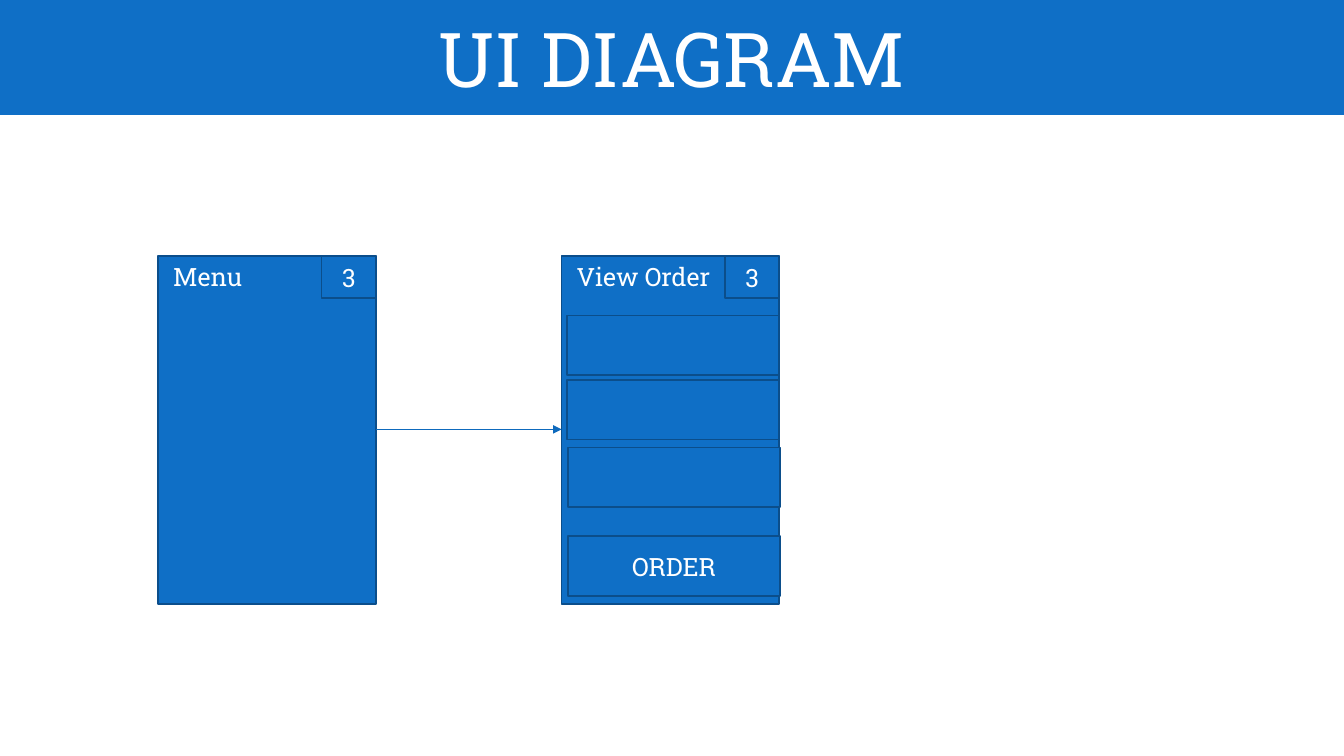
from lxml import etree
from pptx import Presentation
from pptx.dml.color import RGBColor
from pptx.enum import shapes, text
from pptx.oxml import ns
from pptx.util import Inches, Pt


def color(value):
    return RGBColor.from_string(value)


def write(frame, content, size=18, align=text.PP_ALIGN.CENTER,
          anchor=text.MSO_ANCHOR.MIDDLE, font="Roboto Slab", ink="FFFFFF"):
    frame.word_wrap = True
    frame.vertical_anchor = anchor
    paragraph = frame.paragraphs[0]
    paragraph.alignment = align
    run = paragraph.add_run()
    run.text = content
    run.font.size = Pt(size)
    run.font.name = font
    run.font.color.rgb = color(ink)


class Diagram:
    fill = "0F6FC6"
    border = "0B4E8B"
    arrow_color = "0E6ABD"

    def __init__(self, slide):
        self.shapes = slide.shapes

    def box(self, left, top, width, height, content=None, size=18, outlined=True):
        rect = self.shapes.add_shape(
            shapes.MSO_SHAPE.RECTANGLE,
            Inches(left), Inches(top), Inches(width), Inches(height))
        rect.shadow.inherit = False
        rect.fill.solid()
        rect.fill.fore_color.rgb = color(self.fill)
        if outlined:
            rect.line.color.rgb = color(self.border)
            rect.line.width = Pt(1.25)
        else:
            rect.line.fill.background()
        if content:
            write(rect.text_frame, content, size=size)

    def label(self, left, top, width, height, content):
        caption = self.shapes.add_textbox(
            Inches(left), Inches(top), Inches(width), Inches(height))
        write(caption.text_frame, content, align=text.PP_ALIGN.LEFT,
              anchor=text.MSO_ANCHOR.TOP)

    def arrow(self, start, end, y):
        link = self.shapes.add_connector(
            shapes.MSO_CONNECTOR.STRAIGHT,
            Inches(start), Inches(y), Inches(end), Inches(y))
        link.line.color.rgb = color(self.arrow_color)
        link.line.width = Pt(0.75)
        etree.SubElement(link.line._get_or_add_ln(), ns.qn("a:tailEnd"), type="triangle")
        etree.SubElement(link._element.spPr, ns.qn("a:effectLst"))

    def screen(self, left, name, count):
        self.box(left, SCREEN_TOP, SCREEN_WIDTH, SCREEN_HEIGHT)
        self.box(left + SCREEN_WIDTH - BADGE_WIDTH, SCREEN_TOP, BADGE_WIDTH, 0.42, count)
        self.label(left + 0.05, SCREEN_TOP, 1.57, 0.4, name)


SLIDE_WIDTH = 13.33
SCREEN_TOP, SCREEN_WIDTH, SCREEN_HEIGHT = 2.54, 2.16, 3.45
BADGE_WIDTH = 0.54
MENU_LEFT, ORDER_LEFT = 1.57, 5.57

deck = Presentation()
deck.slide_width = Inches(SLIDE_WIDTH)
deck.slide_height = Inches(7.5)
diagram = Diagram(deck.slides.add_slide(deck.slide_layouts[6]))

diagram.box(0, 0, SLIDE_WIDTH, 1.14, "UI DIAGRAM", size=54, outlined=False)
for screen_left, screen_name in ((MENU_LEFT, "Menu"), (ORDER_LEFT, "View Order")):
    diagram.screen(screen_left, screen_name, "3")
diagram.arrow(MENU_LEFT + SCREEN_WIDTH, ORDER_LEFT, 4.26)

for row_left, row_top, row_name in (
        (5.62, 3.13, None), (5.62, 3.77, None), (5.63, 4.44, None), (5.63, 5.32, "ORDER")):
    diagram.box(row_left, row_top, 2.11, 0.59, row_name)

deck.save("out.pptx")
